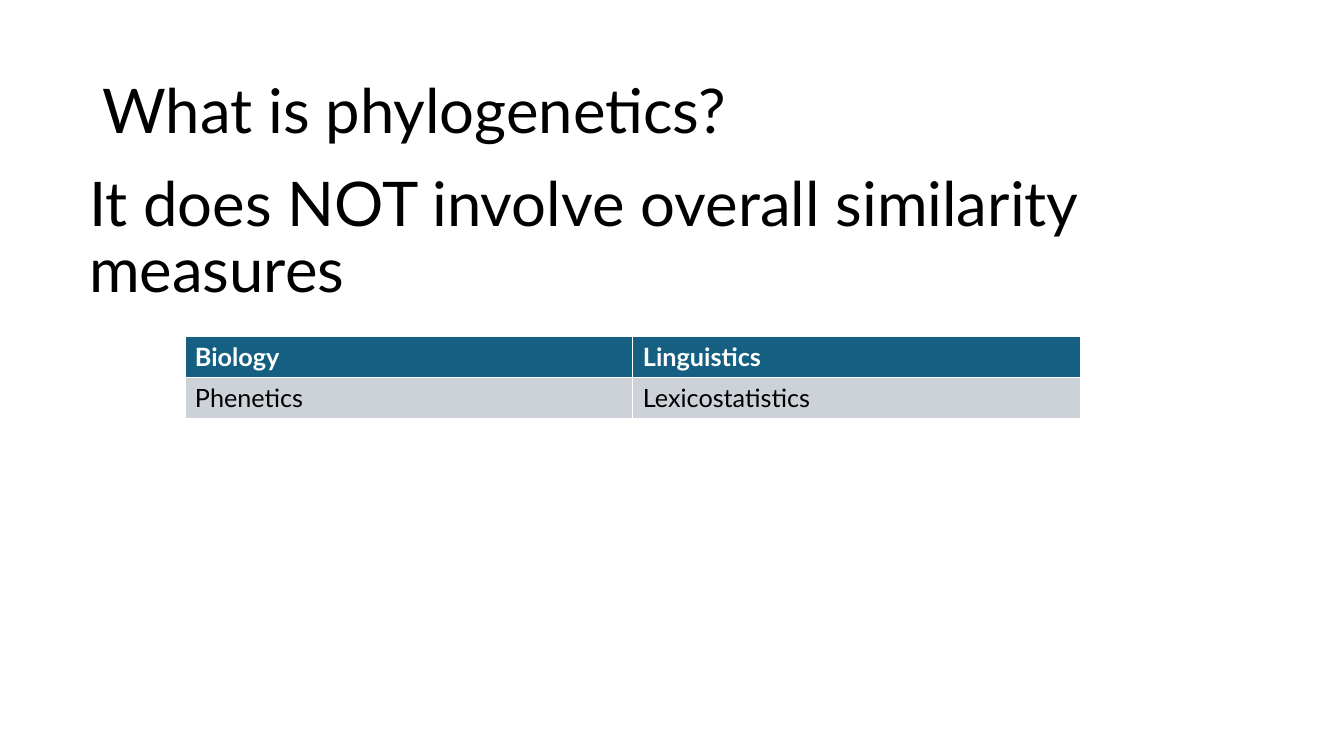
from pptx import Presentation
from pptx.dml.color import RGBColor
from pptx.enum.text import MSO_ANCHOR
from pptx.util import Cm, Pt

MIDDLE = MSO_ANCHOR.MIDDLE
FONT = "Lato"
BLACK, WHITE = "000000", "FFFFFF"
TEAL, GREY = "156082", "CCD2D8"
TERMS = [("Biology", "Linguistics"), ("Phenetics", "Lexicostatistics")]
LOOKS = [(TEAL, WHITE, True), (GREY, BLACK, False)]


def tint(code):
    """Return the colour for a hex string."""
    return RGBColor.from_string(code)


def add_run(para, text, size, color, bold=False):
    """Add one styled run to a paragraph."""
    run = para.add_run()
    run.text = text
    font = run.font
    font.name, font.size, font.bold = FONT, Pt(size), bold
    font.color.rgb = tint(color)


def add_line(slide, text, left, top, width):
    """Add a large line of text, centred vertically in its box."""
    box = slide.shapes.add_textbox(Cm(left), Cm(top), Cm(width), Cm(3.68))
    frame = box.text_frame
    frame.word_wrap = True
    frame.vertical_anchor = MIDDLE
    para = frame.paragraphs[0]
    para.line_spacing = 0.9
    add_run(para, text, 44, BLACK)


def add_grid(slide, left, top, width, height):
    """Add the table of matching terms."""
    shape = slide.shapes.add_table(
        len(TERMS), len(TERMS[0]), Cm(left), Cm(top), Cm(width), Cm(height)
    )
    for row, words, (fill, color, bold) in zip(shape.table.rows, TERMS, LOOKS):
        for cell, word in zip(row.cells, words):
            cell.fill.solid()
            cell.fill.fore_color.rgb = tint(fill)
            add_run(cell.text_frame.paragraphs[0], word, 18, color, bold)


def main():
    """Build and save the slide."""
    deck = Presentation()
    deck.slide_width, deck.slide_height = Cm(33.87), Cm(19.05)
    slide = deck.slides.add_slide(deck.slide_layouts[6])
    add_line(slide, "What is phylogenetics?", 2.33, 1.01, 29.21)
    add_line(slide, "It does NOT involve overall similarity measures", 2, 4.2, 29.85)
    add_grid(slide, 4.66, 8.48, 22.58, 2.06)
    deck.save("out.pptx")


if __name__ == "__main__":
    main()
